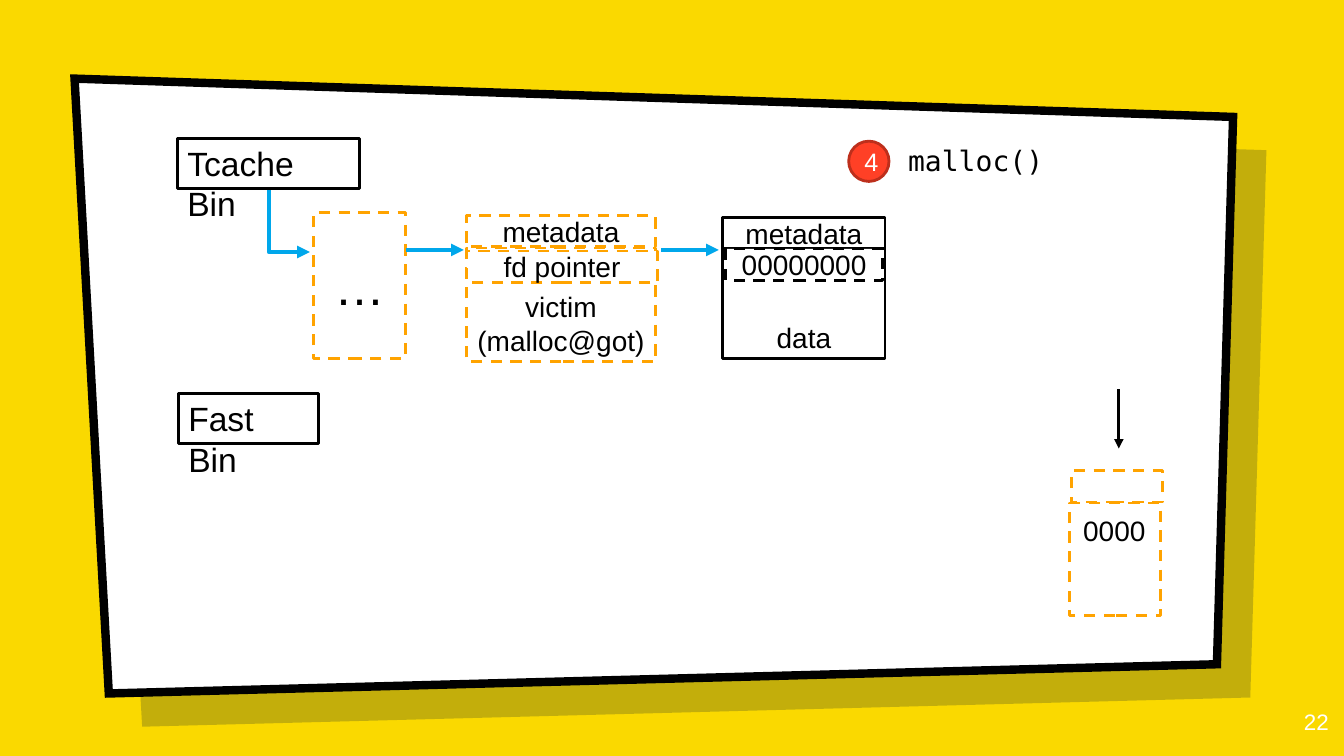
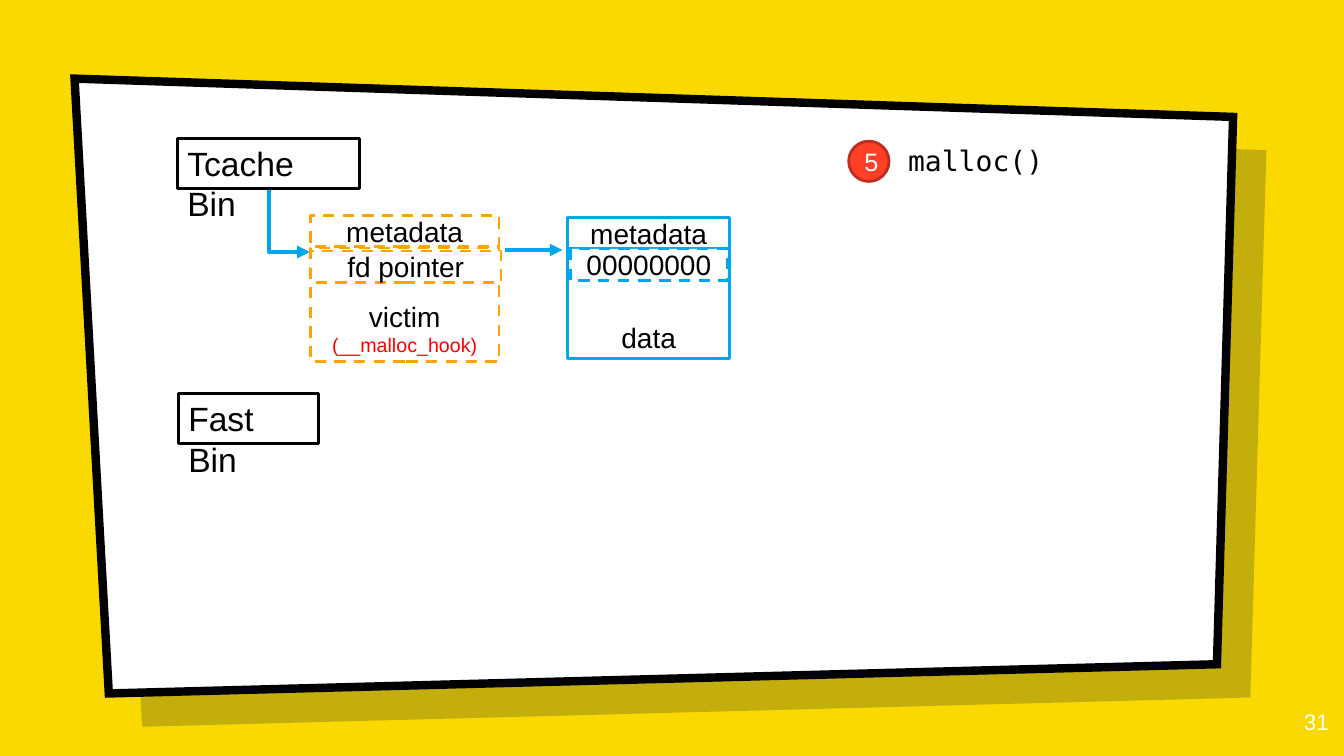
from lxml import etree
from pptx import Presentation
from pptx.dml.color import RGBColor
from pptx.enum.dml import MSO_LINE
from pptx.enum.shapes import MSO_CONNECTOR, MSO_SHAPE
from pptx.enum.text import MSO_ANCHOR, PP_ALIGN
from pptx.oxml.ns import qn
from pptx.util import Inches, Pt

RECTANGLE, OVAL = MSO_SHAPE.RECTANGLE, MSO_SHAPE.OVAL
STRAIGHT, ELBOW = MSO_CONNECTOR.STRAIGHT, MSO_CONNECTOR.ELBOW
TOP, MIDDLE, BOTTOM = MSO_ANCHOR.TOP, MSO_ANCHOR.MIDDLE, MSO_ANCHOR.BOTTOM
LEFT, CENTER, RIGHT = PP_ALIGN.LEFT, PP_ALIGN.CENTER, PP_ALIGN.RIGHT
DASH = MSO_LINE.DASH

COLORS = {
    "background": "FAD900",
    "shadow": "001936",
    "white": "FFFFFF",
    "black": "000000",
    "blue": "00A7EB",
    "orange": "FFA300",
    "badge": "FF4026",
    "badge_line": "BD2F1C",
    "red": "FF0000",
}
SANS, MONO = "Arial", "DejaVu Sans Mono"

# The slide is a grid of 100 columns by 100 rows.
SLIDE_WIDTH, SLIDE_HEIGHT = Inches(13.33), Inches(7.5)
PANEL_CORNERS = [(5.55, 10.4), (91.75, 15.47), (90.55, 87.87), (8.1, 91.73)]
SHADOW_OFFSET = (2.48, 4.4)
ROW_HEIGHT = 4.13
LINK_ROW = 33.07
LINK_LENGTH = 4.28


def columns(count):
    return round(SLIDE_WIDTH * count / 100)


def rows(count):
    return round(SLIDE_HEIGHT * count / 100)


def frame(left, top, width, height):
    return columns(left), rows(top), columns(width), rows(height)


def color(name):
    return RGBColor.from_string(COLORS[name])


def set_fill(shape, name):
    shape.fill.solid()
    shape.fill.fore_color.rgb = color(name)


def set_line(shape, name, width=2, dash=None):
    """Draw the outline, or remove it when no colour is named."""
    if name is None:
        shape.line.fill.background()
        return
    shape.line.color.rgb = color(name)
    shape.line.width = Pt(width)
    if dash:
        shape.line.dash_style = dash


def write(shape, lines, anchor=MIDDLE, align=CENTER, **base):
    """Fill a shape with paragraphs; a line is text or (text, format)."""
    text_frame = shape.text_frame
    text_frame.word_wrap = True
    text_frame.vertical_anchor = anchor
    for index, line in enumerate(lines):
        text, extra = line if isinstance(line, tuple) else (line, {})
        paragraph = text_frame.add_paragraph() if index else text_frame.paragraphs[0]
        paragraph.alignment = align
        run = paragraph.add_run()
        run.text = text
        style = {"name": SANS, "size": 20, "color": "black", **base, **extra}
        run.font.color.rgb = color(style.pop("color"))
        style["size"] = Pt(style["size"])
        for attribute, value in style.items():
            setattr(run.font, attribute, value)


def add_box(shapes, place, lines=(), line="black", dash=None, fill="white",
            kind=RECTANGLE, **text_format):
    shape = shapes.add_shape(kind, *frame(*place))
    shape.shadow.inherit = False
    set_fill(shape, fill)
    set_line(shape, line, dash=dash)
    write(shape, lines, **text_format)
    return shape


def add_text(shapes, place, text, **text_format):
    box = shapes.add_textbox(*frame(*place))
    write(box, [text], **text_format)
    return box


def add_arrow(shapes, start, end, line="blue", width=3, kind=STRAIGHT):
    connector = shapes.add_connector(
        kind, columns(start[0]), rows(start[1]), columns(end[0]), rows(end[1]))
    set_line(connector, line, width)
    etree.SubElement(connector.line._get_or_add_ln(), qn("a:tailEnd"), type="triangle")
    etree.SubElement(connector._element.spPr, qn("a:effectLst"))
    return connector


def add_corner_arrow(shapes, start, end):
    """Arrow that runs down, then turns right."""
    connector = add_arrow(shapes, start, end, kind=ELBOW)
    across, down = connector.width, connector.height
    shift = (down - across) // 2
    connector.left, connector.top = connector.left - shift, connector.top + shift
    connector.width, connector.height = down, across
    properties = connector._element.spPr
    properties.find(qn("a:prstGeom")).set("prst", "bentConnector2")
    transform = properties.find(qn("a:xfrm"))
    transform.set("rot", str(270 * 60000))
    transform.set("flipH", "1")


def add_panel(shapes, fill, offset=(0, 0)):
    corners = [(columns(x + offset[0]), rows(y + offset[1])) for x, y in PANEL_CORNERS]
    builder = shapes.build_freeform(*corners[0])
    builder.add_line_segments(corners[1:], close=True)
    panel = builder.convert_to_shape()
    panel.shadow.inherit = False
    set_fill(panel, fill)
    return panel


def add_backdrop(shapes):
    shadow = add_panel(shapes, "shadow", SHADOW_OFFSET)
    set_line(shadow, None)
    shade = shadow._element.spPr.find(qn("a:solidFill"))[0]
    etree.SubElement(shade, qn("a:alpha"), val="22000")
    panel = add_panel(shapes, "white")
    set_line(panel, "black", 6)
    etree.SubElement(panel.line._get_or_add_ln(), qn("a:miter"), lim="800000")


def add_bins(shapes):
    add_corner_arrow(shapes, (20, 25), (23.05, 33.33))
    bins = [("Tcache Bin", 13.2, 18.27, 13.58), ("Fast Bin", 13.27, 52, 10.43)]
    for name, left, top, width in bins:
        add_box(shapes, (left, top, width, 6.67), [name], anchor=TOP, align=LEFT, size=24)


def add_data_chunk(shapes, left, line):
    group = shapes.add_group_shape().shapes
    add_box(group, (left, 32.93, 12.08, 14.53), ["data"], line, anchor=BOTTOM)
    add_box(group, (left, 28.8, 12.08, ROW_HEIGHT), ["metadata"], line)
    add_box(group, (left + 0.2, 32.93, 11.7, ROW_HEIGHT), ["00000000"], line, DASH)


def add_victim_chunk(shapes, left, target):
    """Free chunk with the arrow that leaves it."""
    group = shapes.add_group_shape().shapes
    add_box(group, (left, 32.8, 14.03, 15.07), ["victim", target], "orange", DASH,
            anchor=BOTTOM)
    add_box(group, (left, 28.53, 14.03, ROW_HEIGHT), ["metadata"], "orange", DASH)
    add_box(group, (left, 33.2, 14.18, ROW_HEIGHT), ["fd pointer"], "orange", DASH)
    add_link(shapes, left + 14.47)


def add_link(shapes, left):
    add_arrow(shapes, (left, LINK_ROW), (left + LINK_LENGTH, LINK_ROW))


def add_small_chunk(shapes):
    add_arrow(shapes, (83.25, 51.47), (83.25, 59.33), "black", 2.25)
    group = shapes.add_group_shape().shapes
    add_box(group, (79.58, 66.53, 6.75, 14.93), line="orange", dash=DASH)
    add_box(group, (79.73, 62.27, 6.75, ROW_HEIGHT), line="orange", dash=DASH)
    add_text(group, (79.5, 66.67, 6.83, 7.07), "0000")


def add_step(shapes, number):
    add_box(shapes, (63.15, 18.67, 3, 5.33), [number], "badge_line", fill="badge",
            kind=OVAL, size=18, color="white")
    add_box(shapes, (66.83, 17.6, 17.25, 7.07), ["malloc()"], None, align=LEFT, name=MONO)


def add_page_number(shapes, number):
    box = add_text(shapes, (93.6, 92.4, 6, 7.6), number, anchor=TOP, align=RIGHT,
                   size=16, color="white")
    for side in ("left", "top", "right", "bottom"):
        setattr(box.text_frame, f"margin_{side}", Inches(0.1))


def add_heap_slide(presentation, page, step):
    """Start a slide with the parts that every heap diagram shares."""
    slide = presentation.slides.add_slide(presentation.slide_layouts[6])
    set_fill(slide.background, "background")
    add_backdrop(slide.shapes)
    add_page_number(slide.shapes, page)
    add_bins(slide.shapes)
    add_step(slide.shapes, step)
    return slide.shapes


def main():
    presentation = Presentation()
    presentation.slide_width, presentation.slide_height = SLIDE_WIDTH, SLIDE_HEIGHT

    shapes = add_heap_slide(presentation, "22", "4")
    add_data_chunk(shapes, 53.78, "black")
    add_box(shapes, (23.33, 28.13, 6.83, 19.33), ["…"], "orange", DASH, size=36)
    add_link(shapes, 30.23)
    add_victim_chunk(shapes, 34.73, "(malloc@got)")
    add_small_chunk(shapes)

    shapes = add_heap_slide(presentation, "31", "5")
    add_data_chunk(shapes, 42.23, "blue")
    add_victim_chunk(shapes, 23.1, ("(__malloc_hook)", {"size": 14, "color": "red"}))

    presentation.save("out.pptx")


if __name__ == "__main__":
    main()
